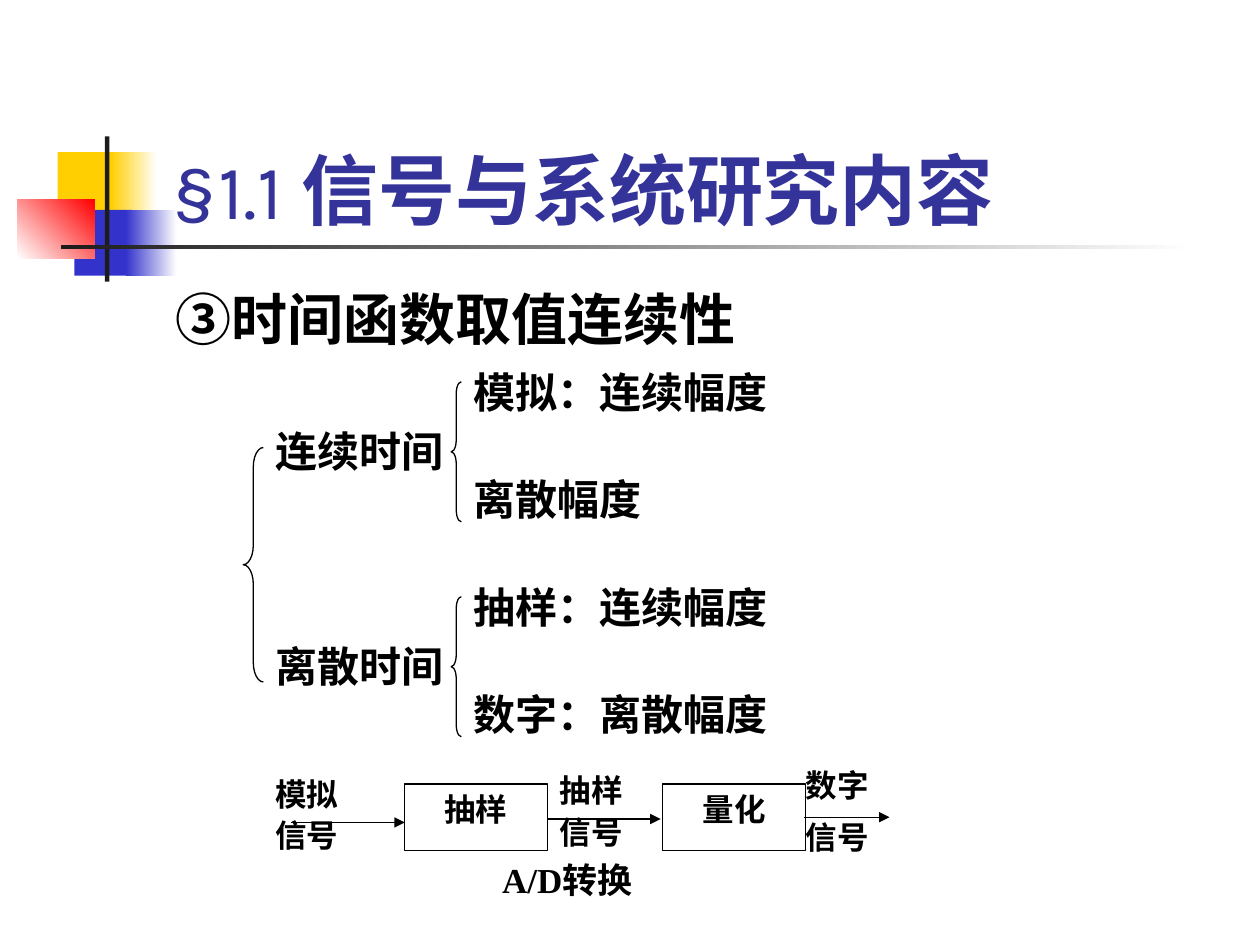
from lxml.etree import SubElement
from pptx import Presentation
from pptx.dml.color import RGBColor
from pptx.enum.shapes import MSO_CONNECTOR, MSO_SHAPE
from pptx.enum.text import MSO_ANCHOR, PP_ALIGN
from pptx.oxml.ns import qn
from pptx.util import Pt

YELLOW = RGBColor(0xFF, 0xCF, 0x01)
BLUE = RGBColor(0x33, 0x33, 0xCC)
RED = RGBColor(0xFF, 0x00, 0x00)
CHARCOAL = RGBColor(0x1C, 0x1C, 0x1C)
INDIGO = RGBColor(0x33, 0x33, 0x99)
BLACK = RGBColor(0x00, 0x00, 0x00)
WHITE = RGBColor(0xFF, 0xFF, 0xFF)
SANS, SERIF, CJK = "Karla", "Times New Roman", "Noto Sans CJK SC"


def add_run(paragraph, text, size, font, color=BLACK, bold=True):
    run = paragraph.add_run()
    run.text = text
    run.font.size = Pt(size)
    run.font.name = font
    run.font.bold = bold
    run.font.color.rgb = color
    SubElement(run.font._element, qn("a:ea"), typeface=CJK)


def add_label(slide, text, left, top, width, height, size, font):
    label = slide.shapes.add_textbox(Pt(left), Pt(top), Pt(width), Pt(height))
    label.text_frame.word_wrap = True
    add_run(label.text_frame.paragraphs[0], text, size, font)


def add_preset(slide, kind, left, top, width, height):
    shape = slide.shapes.add_shape(kind, Pt(left), Pt(top), Pt(width), Pt(height))
    shape.shadow.inherit = False
    return shape


def add_outlined(slide, kind, left, top, width, height):
    shape = add_preset(slide, kind, left, top, width, height)
    shape.line.color.rgb = BLACK
    shape.line.width = Pt(0.75)
    return shape


def add_arrow(slide, start, end, y):
    arrow = slide.shapes.add_connector(
        MSO_CONNECTOR.STRAIGHT, Pt(start), Pt(y), Pt(end), Pt(y))
    arrow.line.color.rgb = BLACK
    arrow.line.width = Pt(0.75)
    SubElement(arrow.line._get_or_add_ln(), qn("a:tailEnd"), type="triangle")
    SubElement(arrow._element.spPr, qn("a:effectLst"))


def add_brace(slide, left, top, width, height):
    brace = add_outlined(slide, MSO_SHAPE.LEFT_BRACE, left, top, width, height)
    brace.fill.background()
    brace.adjustments[0] = height / 12 / width


def draw_ornament(slide, left, top):
    pieces = [
        (23, 9, 34.5, 37.5, YELLOW, YELLOW, 0),
        (53.5, 9, 26, 37.5, YELLOW, WHITE, 0),
        (32.5, 42, 33, 37.5, BLUE, BLUE, 0),
        (62, 42, 29, 37.5, BLUE, WHITE, 0),
        (0, 36, 44, 33.5, WHITE, RED, 45),
        (50, 0, 2.5, 83, CHARCOAL, CHARCOAL, 0),
        (25, 62, 648, 2.5, CHARCOAL, WHITE, 0),
    ]
    for dx, dy, width, height, start, end, angle in pieces:
        piece = add_preset(slide, MSO_SHAPE.RECTANGLE, left + dx, top + dy, width, height)
        piece.line.fill.background()
        if start == end:
            piece.fill.solid()
            piece.fill.fore_color.rgb = start
        else:
            piece.fill.gradient()
            piece.fill.gradient_angle = angle
            for stop, color in zip(piece.fill.gradient_stops, (start, end)):
                stop.color.rgb = color


def place_title(slide, left, top, width, height):
    title = slide.shapes.title
    title.left, title.top, title.width, title.height = map(Pt, (left, top, width, height))
    title.text_frame.vertical_anchor = MSO_ANCHOR.BOTTOM
    heading = title.text_frame.paragraphs[0]
    heading.alignment = PP_ALIGN.LEFT
    add_run(heading, "§1.1 ", 44, SANS, INDIGO, False)
    add_run(heading, "信号与系统研究内容", 44, CJK, INDIGO)


def draw_branch(slide, left, top, name, leaves):
    add_label(slide, name, left, top + 34, 142, 36, 24, SANS)
    add_brace(slide, left + 107.3, top + 12.3, 5.8, 80)
    for row, leaf in enumerate(leaves):
        add_label(slide, leaf, left + 113, top + row * 61, 199, 36, 24, SANS)


def draw_classification(slide, left, top):
    branches = [
        ("连续时间", ("模拟：连续幅度", "离散幅度")),
        ("离散时间", ("抽样：连续幅度", "数字：离散幅度")),
    ]
    add_brace(slide, left, top + 49.8, 11.5, 134)
    for row, (name, leaves) in enumerate(branches):
        draw_branch(slide, left + 11.5, top + row * 122.8, name, leaves)


def draw_conversion(slide, left, top):
    for dx, step in ((81, "抽样"), (228.5, "量化")):
        box = add_outlined(slide, MSO_SHAPE.RECTANGLE, left + dx, top + 14, 81.4, 38.2)
        box.fill.solid()
        box.fill.fore_color.rgb = WHITE
        box.text_frame.vertical_anchor = MSO_ANCHOR.TOP
        box.text_frame.paragraphs[0].alignment = PP_ALIGN.CENTER
        add_run(box.text_frame.paragraphs[0], step, 18, SERIF)
    for start, end, dy in ((16, 81, 36), (162.4, 227.2, 34), (309, 358, 33)):
        add_arrow(slide, left + start, left + end, top + dy)
    signals = [
        (0, 5.2, 23.8, "模拟"),
        (162.4, 3, 23.8, "抽样"),
        (303, 0.2, 29.5, "数字"),
    ]
    for dx, dy, gap, kind in signals:
        for row, word in enumerate((kind, "信号")):
            add_label(slide, word, left + dx, top + dy + row * gap, 65, 38, 18, SERIF)
    add_label(slide, "A/D转换", left + 129.5, top + 52.8, 114, 38, 20, SERIF)


def main():
    deck = Presentation()
    deck.slide_width, deck.slide_height = Pt(720), Pt(540)
    slide = deck.slides.add_slide(deck.slide_layouts[5])
    draw_ornament(slide, 10, 78)
    place_title(slide, 91, 48, 613.5, 90)
    add_label(slide, "③时间函数取值连续性", 93, 159, 612, 60, 32, CJK)
    draw_classification(slide, 139, 205.9)
    draw_conversion(slide, 150.3, 434)
    deck.save("out.pptx")


if __name__ == "__main__":
    main()
